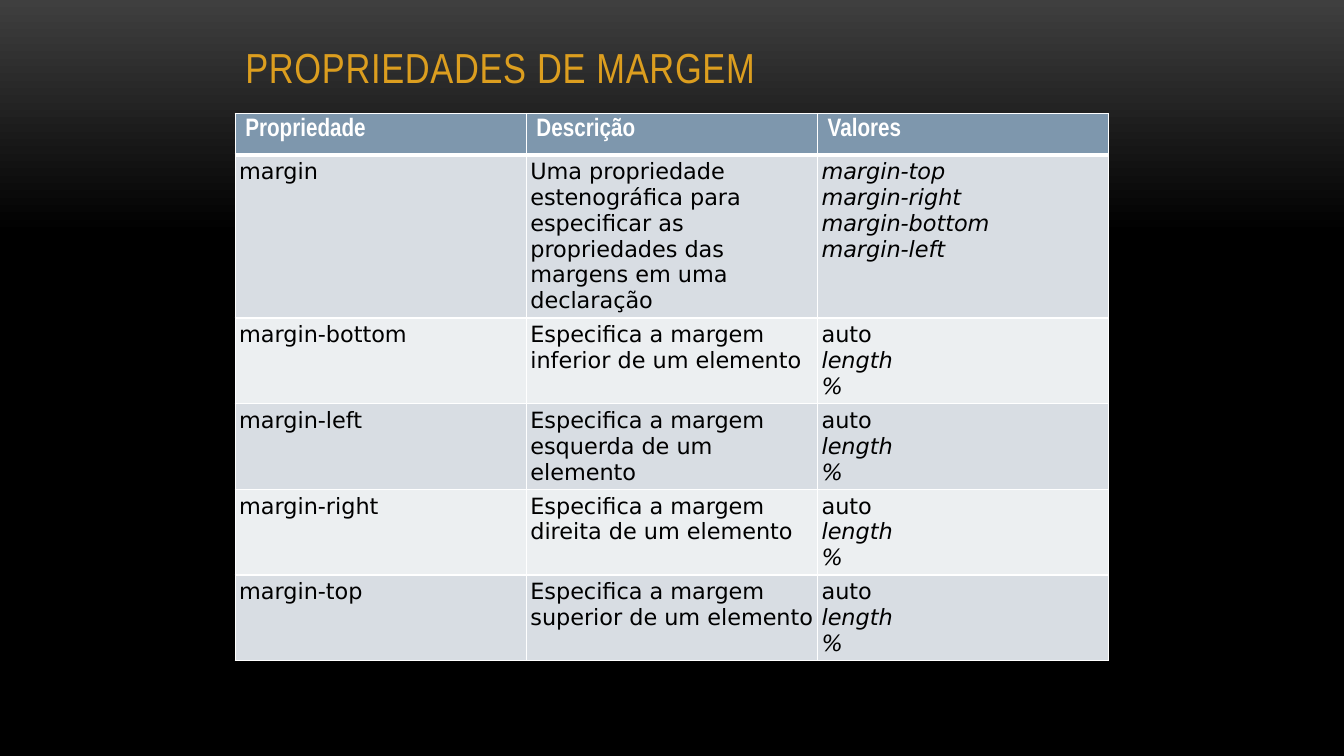
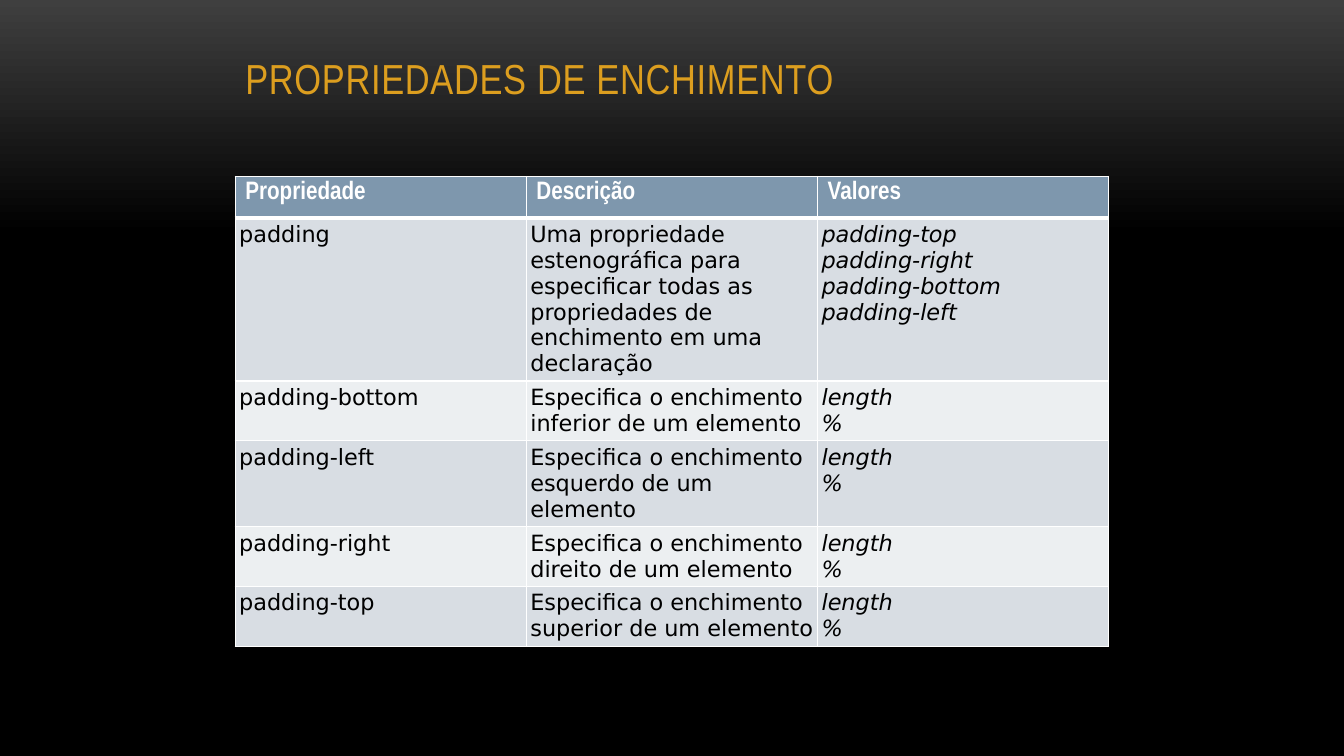
from lxml import etree
from pptx import Presentation, util as u
from pptx.dml.color import RGBColor
from pptx.enum import text
from pptx.oxml.ns import qn

COLUMNS, ROWS = 40, 60
WIDTH, HEIGHT = u.Inches(13.333), u.Inches(7.5)
LEFT, SPAN = 7, 26
TITLE_TOP = 2.4
HEADINGS = ["Propriedade", "Descrição", "Valores"]
ROW_HEIGHT = u.Inches(0.41)


def color(hex_code):
    return RGBColor.from_string(hex_code)


def col(count):
    return round(WIDTH * count / COLUMNS)


def row(count):
    return round(HEIGHT * count / ROWS)


class Deck:
    HEAD_FONT, BODY_FONT = "Arial Narrow", "DejaVu Sans"
    GOLD, WHITE, BLACK = "DC9E1F", "FFFFFF", "000000"
    HEAD_FILL, BANDS = "7E97AD", ("ECEFF1", "D8DDE3")
    FADE = [(0, "3F3F3F"), (31, "000000"), (100, "000000")]

    def __init__(self):
        self.prs = Presentation()
        self.prs.slide_width, self.prs.slide_height = WIDTH, HEIGHT
        self.slide = None
        self.paint_background()

    def paint_background(self):
        master = self.prs.slide_master
        fill = master.background.fill
        fill.gradient()
        fill.gradient_angle = 270
        stops = next(master.element.iter(qn("a:gsLst")))
        stops.clear()
        for percent, shade in self.FADE:
            stop = etree.SubElement(stops, qn("a:gs"), pos=str(percent * 1000))
            etree.SubElement(stop, qn("a:srgbClr"), val=shade)

    def style(self, paragraph, name, size, shade, bold=False):
        font = paragraph.font
        font.name, font.size, font.bold = name, u.Pt(size), bold
        font.color.rgb = color(shade)

    def add_slide(self, heading, title_bottom):
        self.slide = self.prs.slides.add_slide(self.prs.slide_layouts[5])
        title = self.slide.shapes.title
        title.left, title.top = col(LEFT), row(TITLE_TOP)
        title.width, title.height = col(SPAN), row(title_bottom - TITLE_TOP)
        frame = title.text_frame
        frame.text = heading
        frame.auto_size = text.MSO_AUTO_SIZE.NONE
        frame.vertical_anchor = text.MSO_ANCHOR.BOTTOM
        paragraph = frame.paragraphs[0]
        paragraph.alignment = text.PP_ALIGN.LEFT
        self.style(paragraph, self.HEAD_FONT, 30, self.GOLD)
        next(title.element.iter(qn("a:defRPr"))).set("spc", "50")

    def border(self, cell, top=1, bottom=1):
        props = cell._tc.get_or_add_tcPr()
        for side, points in zip("LRTB", (1, 1, top, bottom)):
            line = etree.SubElement(props, qn(f"a:ln{side}"), w=str(u.Pt(points)))
            fill = etree.SubElement(line, qn("a:solidFill"))
            etree.SubElement(fill, qn("a:srgbClr"), val=self.WHITE)

    def fill(self, cell, shade):
        cell.fill.solid()
        cell.fill.fore_color.rgb = color(shade)

    def head_cell(self, cell, label):
        self.border(cell, bottom=3)
        self.fill(cell, self.HEAD_FILL)
        cell.text = label
        self.style(cell.text_frame.paragraphs[0], self.HEAD_FONT, 18, self.WHITE, bold=True)

    def body_cell(self, cell, lines, row_number, italic):
        """Write lines with breaks; the keyword auto always stays upright."""
        self.border(cell, top=3 if row_number == 1 else 1)
        self.fill(cell, self.BANDS[row_number % 2])
        cell.margin_left = cell.margin_right = u.Inches(0.04)
        cell.margin_top = cell.margin_bottom = u.Inches(0.04)
        paragraph = cell.text_frame.paragraphs[0]
        self.style(paragraph, self.BODY_FONT, 16, self.BLACK)
        for number, line in enumerate(lines):
            if number:
                paragraph.add_line_break()
            run = paragraph.add_run()
            run.text = line
            run.font.italic = italic and line != "auto"

    def add_table(self, top, records):
        count = len(records) + 1
        table = self.slide.shapes.add_table(
            count, len(HEADINGS), col(LEFT), row(top), col(SPAN), ROW_HEIGHT * count).table
        table.horz_banding = False
        for column, label in enumerate(HEADINGS):
            self.head_cell(table.cell(0, column), label)
        for number, (name, description, values) in enumerate(records, 1):
            for column, lines in enumerate(([name], [description], values)):
                self.body_cell(table.cell(number, column), lines, number, italic=column == 2)


def property_records(name, summary, noun, sides, values):
    """List the shorthand property, then one record for each side."""
    shorthand = [f"{name}-{side}" for side in ("top", "right", "bottom", "left")]
    return [(name, summary, shorthand)] + [
        (f"{name}-{side}", f"Especifica {noun} {adjective} de um elemento", values)
        for side, adjective in sides.items()]


def main():
    deck = Deck()
    deck.add_slide("PROPRIEDADES DE MARGEM", title_bottom=7.7)
    deck.add_table(9, property_records(
        "margin",
        "Uma propriedade estenográfica para especificar as propriedades "
        "das margens em uma declaração",
        "a margem",
        {"bottom": "inferior", "left": "esquerda", "right": "direita", "top": "superior"},
        ["auto", "length", "%"]))

    deck.add_slide("PROPRIEDADES DE ENCHIMENTO", title_bottom=8.6)
    deck.add_table(14, property_records(
        "padding",
        "Uma propriedade estenográfica para especificar todas as propriedades "
        "de enchimento em uma declaração",
        "o enchimento",
        {"bottom": "inferior", "left": "esquerdo", "right": "direito", "top": "superior"},
        ["length", "%"]))
    deck.prs.save("out.pptx")


if __name__ == "__main__":
    main()
